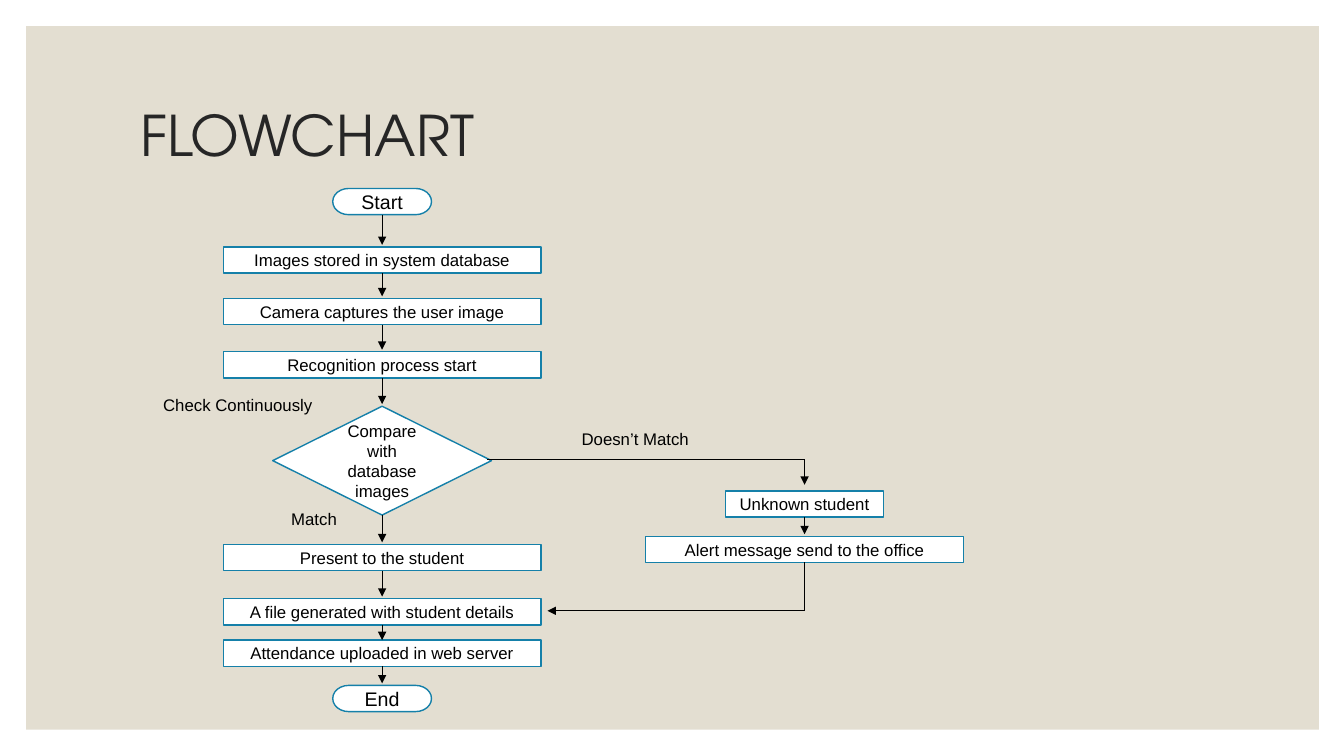
from lxml import etree
from pptx import Presentation
from pptx.dml.color import RGBColor
from pptx.enum import shapes, text
from pptx.oxml.ns import qn
from pptx.util import Inches, Pt

PAPER = RGBColor(0xE3, 0xDE, 0xD1)
WHITE = RGBColor(0xFF, 0xFF, 0xFF)
BLUE = RGBColor(0x15, 0x80, 0xA9)
BLACK = RGBColor(0, 0, 0)
TITLE_INK = RGBColor(0x26, 0x26, 0x26)

# Content: kind, top, wording of each step
TITLE = "FLOWCHART"
MAIN_STEPS = [
    ("terminator", 1.87, "Start"),
    ("process", 2.45, "Images stored in system database"),
    ("process", 2.96, "Camera captures the user image"),
    ("process", 3.49, "Recognition process start"),
    ("decision", 4.03, "Compare with database images"),
    ("process", 5.4, "Present to the student"),
    ("process", 5.94, "A file generated with student details"),
    ("process", 6.35, "Attendance uploaded in web server"),
    ("terminator", 6.8, "End"),
]
ALERT_STEPS = [
    ("short", 4.87, "Unknown student"),
    ("process", 5.32, "Alert message send to the office"),
]
# left, top, width, wording
LABELS = [
    (1.52, 3.87, 3.14, "Check Continuously"),
    (2.79, 5.0, 2.0, "Match"),
    (5.67, 4.2, 2.0, "Doesn’t Match"),
]

# Kind: preset shape, width, height, text size
MSO = shapes.MSO_SHAPE
KINDS = {
    "terminator": (MSO.FLOWCHART_TERMINATOR, 0.98, 0.26, 14),
    "process": (MSO.FLOWCHART_PROCESS, 3.15, 0.26, 12),
    "short": (MSO.FLOWCHART_PROCESS, 1.57, 0.26, 12),
    "decision": (MSO.FLOWCHART_DECISION, 2.17, 1.08, 12),
}
MAIN_X, ALERT_X = 3.79, 7.98
BRANCH_Y, RETURN_Y = 4.56, 6.06


def write(tf, wording, size, font="Arial", color=BLACK, align=text.PP_ALIGN.LEFT):
    p = tf.paragraphs[0]
    p.alignment = align
    r = p.add_run()
    r.text = wording
    r.font.size, r.font.name = Pt(size), font
    r.font.color.rgb = color
    return p


def add_box(s, preset, left, top, width, height, fill, line=None):
    sp = s.shapes.add_shape(preset, Inches(left), Inches(top), Inches(width), Inches(height))
    sp.shadow.inherit = False
    sp.fill.solid()
    sp.fill.fore_color.rgb = fill
    if line is None:
        sp.line.fill.background()
    else:
        sp.line.color.rgb = line
        sp.line.width = Pt(1)
    return sp


def add_line(s, x1, y1, x2, y2, arrow=True):
    c = s.shapes.add_connector(shapes.MSO_CONNECTOR.STRAIGHT,
                               Inches(x1), Inches(y1), Inches(x2), Inches(y2))
    c.line.color.rgb = BLACK
    c.line.width = Pt(0.5)
    if arrow:
        etree.SubElement(c.line._get_or_add_ln(), qn("a:tailEnd"), type="triangle")
    etree.SubElement(c.element.spPr, qn("a:effectLst"))


def add_steps(s, steps, center):
    for kind, top, wording in steps:
        preset, width, height, size = KINDS[kind]
        sp = add_box(s, preset, center - width / 2, top, width, height, WHITE, BLUE)
        tf = sp.text_frame
        tf.word_wrap = True
        tf.vertical_anchor = text.MSO_ANCHOR.MIDDLE
        write(tf, wording, size, align=text.PP_ALIGN.CENTER)


def add_arrows(s, steps, center):
    for (kind, top, _), (_, next_top, _) in zip(steps, steps[1:]):
        bottom = top + KINDS[kind][2]
        gap = 0.02 if next_top - bottom > 0.18 else 0
        add_line(s, center, bottom, center, next_top - gap)


def main():
    prs = Presentation()
    prs.slide_width, prs.slide_height = Inches(13.33), Inches(7.5)
    s = prs.slides.add_slide(prs.slide_layouts[5])

    # Title on the beige panel
    title = s.shapes.title
    title.left, title.top = Inches(1.29), Inches(0.62)
    title.width, title.height = Inches(11), Inches(1.5)
    tf = title.text_frame
    tf.auto_size = text.MSO_AUTO_SIZE.NONE
    tf.vertical_anchor = text.MSO_ANCHOR.MIDDLE
    write(tf, TITLE, 40, "TeX Gyre Adventor", TITLE_INK).line_spacing = 0.9
    panel = add_box(s, MSO.RECTANGLE, 0.26, 0.26, 12.82, 6.98, PAPER)
    title.element.addprevious(panel.element)

    # Both columns of steps
    for steps, center in ((MAIN_STEPS, MAIN_X), (ALERT_STEPS, ALERT_X)):
        add_steps(s, steps, center)
        add_arrows(s, steps, center)

    # Branch out to the alert column and back
    add_line(s, 4.83, BRANCH_Y, ALERT_X, BRANCH_Y, arrow=False)
    add_line(s, ALERT_X, BRANCH_Y, ALERT_X, 4.81)
    add_line(s, ALERT_X, 5.58, ALERT_X, RETURN_Y, arrow=False)
    add_line(s, ALERT_X, RETURN_Y, 5.43, RETURN_Y)

    # Branch labels
    for left, top, width, wording in LABELS:
        tb = s.shapes.add_textbox(Inches(left), Inches(top), Inches(width), Inches(0.3))
        tb.text_frame.word_wrap = True
        write(tb.text_frame, wording, 12)

    prs.save("out.pptx")


if __name__ == "__main__":
    main()
